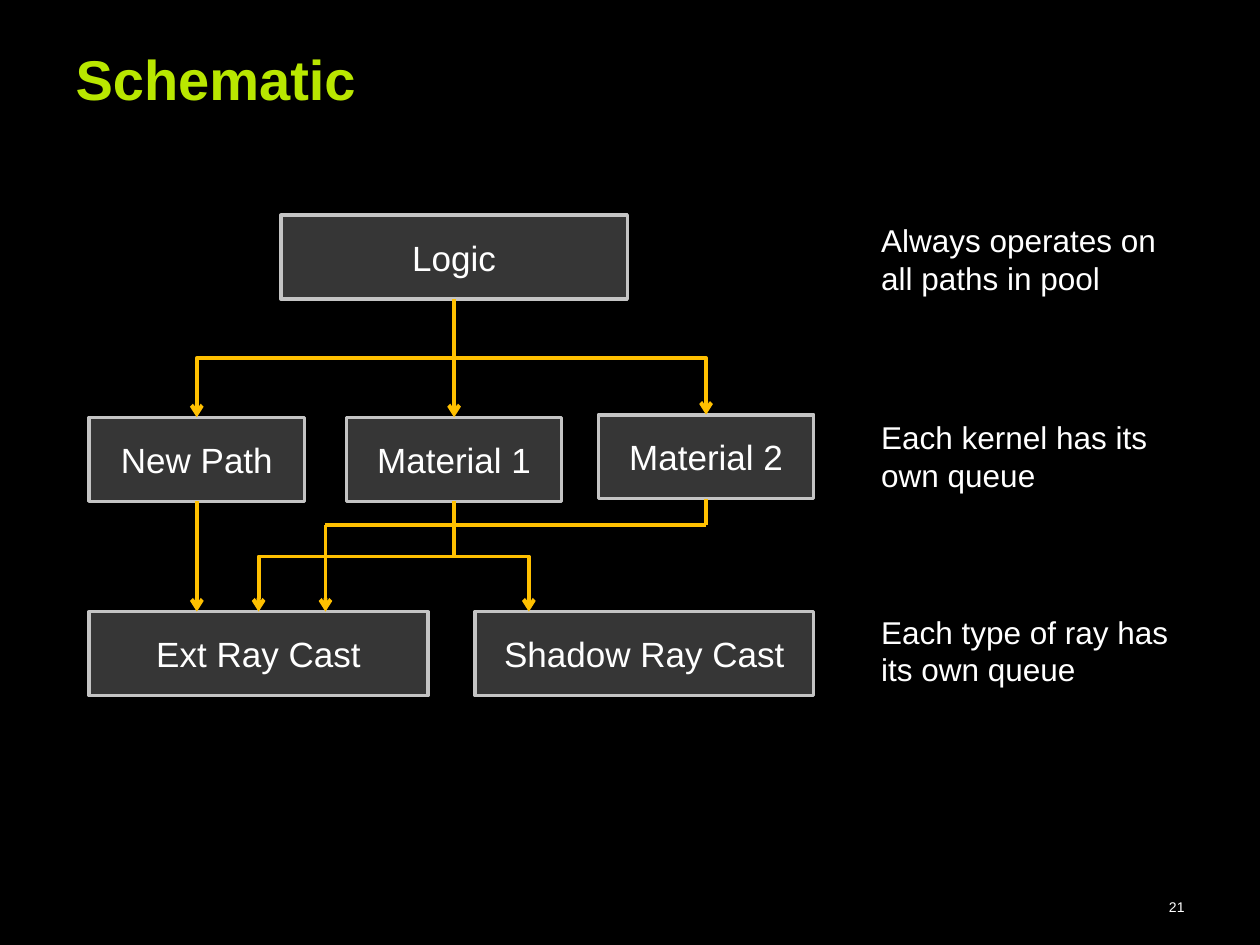
import pptx
import pptx.util
import pptx.dml.color
import pptx.enum.shapes
import pptx.enum.text
import pptx.oxml.ns
from lxml import etree

RGB = pptx.dml.color.RGBColor
BLACK = RGB(0x00, 0x00, 0x00)
WHITE = RGB(0xFF, 0xFF, 0xFF)
LIME = RGB(0xB9, 0xE7, 0x00)
PANEL = RGB(0x36, 0x36, 0x36)
EDGE = RGB(0xC4, 0xC4, 0xC4)
AMBER = RGB(0xFF, 0xC0, 0x00)

FONT = "Arial"
Pt = pptx.util.Pt
qn = pptx.oxml.ns.qn
ALIGN = pptx.enum.text.PP_ALIGN
ANCHOR = pptx.enum.text.MSO_ANCHOR
CONNECTOR = pptx.enum.shapes.MSO_CONNECTOR
TOP, BOTTOM = 0, 2

COLUMNS = 240
WIDTH = pptx.util.Inches(10)
HEIGHT = pptx.util.Inches(7.5)
UNIT = WIDTH // COLUMNS
BOX_H = 16


def grid(*values):
    return [round(v * UNIT) for v in values]


def write(sp, text, size, color, align=ALIGN.LEFT, bold=False):
    p = sp.text_frame.paragraphs[0]
    p.text = text
    p.alignment = align
    for r in p.runs:
        r.font.name = FONT
        r.font.size = Pt(size)
        r.font.bold = bold
        r.font.color.rgb = color


def add_box(s, x, y, w, text):
    kind = pptx.enum.shapes.MSO_SHAPE.RECTANGLE
    sp = s.shapes.add_shape(kind, *grid(x, y, w, BOX_H))
    sp.shadow.inherit = False
    sp.fill.solid()
    sp.fill.fore_color.rgb = PANEL
    sp.line.color.rgb = EDGE
    sp.line.width = Pt(2)
    sp.text_frame.vertical_anchor = ANCHOR.MIDDLE
    write(sp, text, 20, WHITE, ALIGN.CENTER)
    return sp


def add_line(s, x1, y1, x2, y2, kind=CONNECTOR.STRAIGHT, arrow=True):
    c = s.shapes.add_connector(kind, *grid(x1, y1, x2, y2))
    c.line.color.rgb = AMBER
    c.line.width = Pt(2.25)
    if arrow:
        etree.SubElement(c.line._get_or_add_ln(), qn("a:tailEnd"), type="arrow")
    etree.SubElement(c._element.spPr, qn("a:effectLst"))
    return c


def add_corner(s, x1, y1, x2, y2):
    c = add_line(s, x1, y1, x2, y2, CONNECTOR.ELBOW)
    c._element.spPr.find(qn("a:prstGeom")).set("prst", "bentConnector2")


def add_step(s, x1, y1, x2, y2):
    cx, cy = (x1 + x2) / 2, (y1 + y2) / 2
    rightward = x2 > x1
    half_w = (y2 - y1) / 2 * (1 if rightward else -1)
    half_h = abs(x2 - x1) / 2
    c = add_line(s, cx + half_w, cy - half_h, cx - half_w, cy + half_h,
                 CONNECTOR.ELBOW)
    degrees = 270 if rightward else 90
    c._element.spPr.find(qn("a:xfrm")).set("rot", str(degrees * 60000))


def add_title(s, x, y, w, h):
    sp = s.shapes.title
    sp.left, sp.top, sp.width, sp.height = grid(x, y, w, h)
    sp.text_frame.vertical_anchor = ANCHOR.MIDDLE
    write(sp, "Schematic", 32, LIME, bold=True)


def add_diagram(s, x, y, w, h):
    kernel_w, cast_w, logic_w = 41, 64.5, 66
    kernel_y, cast_y = y + 38.5, y + h - BOX_H
    material2_y = kernel_y - 0.5
    kernel_xs = [x, x + 49, x + w - kernel_w]
    new_x, mat1_x, mat2_x = [k + kernel_w / 2 for k in kernel_xs]

    logic = add_box(s, mat1_x - logic_w / 2, y, logic_w, "Logic")
    new_path = add_box(s, kernel_xs[0], kernel_y, kernel_w, "New Path")
    material1 = add_box(s, kernel_xs[1], kernel_y, kernel_w, "Material 1")
    material2 = add_box(s, kernel_xs[2], material2_y, kernel_w, "Material 2")
    add_box(s, x + w - cast_w, cast_y, cast_w, "Shadow Ray Cast")
    add_box(s, x, cast_y, cast_w, "Ext Ray Cast")

    logic_bottom = y + BOX_H
    kernel_bottom = kernel_y + BOX_H
    fork_y = (logic_bottom + kernel_y) / 2
    trunk = add_line(s, mat1_x, logic_bottom, mat1_x, kernel_y)
    trunk.begin_connect(logic, BOTTOM)
    trunk.end_connect(material1, TOP)
    add_corner(s, mat1_x, fork_y, mat2_x, material2_y)
    add_corner(s, mat1_x, fork_y, new_x, kernel_y)

    drop = add_line(s, new_x, kernel_bottom, new_x, cast_y)
    drop.begin_connect(new_path, BOTTOM)
    for target_x in (x + cast_w / 2, x + 83.75):
        add_step(s, mat1_x, kernel_bottom, target_x, cast_y)

    bus_x, bus_y = x + 45, y + 59
    add_line(s, bus_x, bus_y, bus_x, cast_y)
    add_line(s, bus_x, bus_y, mat2_x, bus_y, arrow=False)
    stub = add_line(s, mat2_x, material2_y + BOX_H, mat2_x, bus_y, arrow=False)
    stub.begin_connect(material2, BOTTOM)


def add_notes(s, x, y, w, h):
    notes = [
        (0, "Always operates on\nall paths in pool"),
        (37.5, "Each kernel has its\nown queue"),
        (74.5, "Each type of ray has\nits own queue"),
    ]
    for offset, text in notes:
        sp = s.shapes.add_textbox(*grid(x, y + offset, w, h))
        sp.text_frame.word_wrap = False
        write(sp, text, 18, WHITE)


def add_page_number(s, x, y, w, h):
    sp = s.shapes.add_textbox(*grid(x, y, w, h))
    sp.text_frame.word_wrap = True
    write(sp, "21", 8, WHITE, ALIGN.RIGHT)


def main():
    prs = pptx.Presentation()
    prs.slide_width, prs.slide_height = WIDTH, HEIGHT
    s = prs.slides.add_slide(prs.slide_layouts[5])
    s.background.fill.solid()
    s.background.fill.fore_color.rgb = BLACK
    add_title(s, 12, 7.25, 194, 15.25)
    add_diagram(s, 17, 41, 138, 91.5)
    add_notes(s, 165.5, 41, 60, 17)
    add_page_number(s, 170, 170, 58, 5.75)
    prs.save("out.pptx")


if __name__ == "__main__":
    main()
